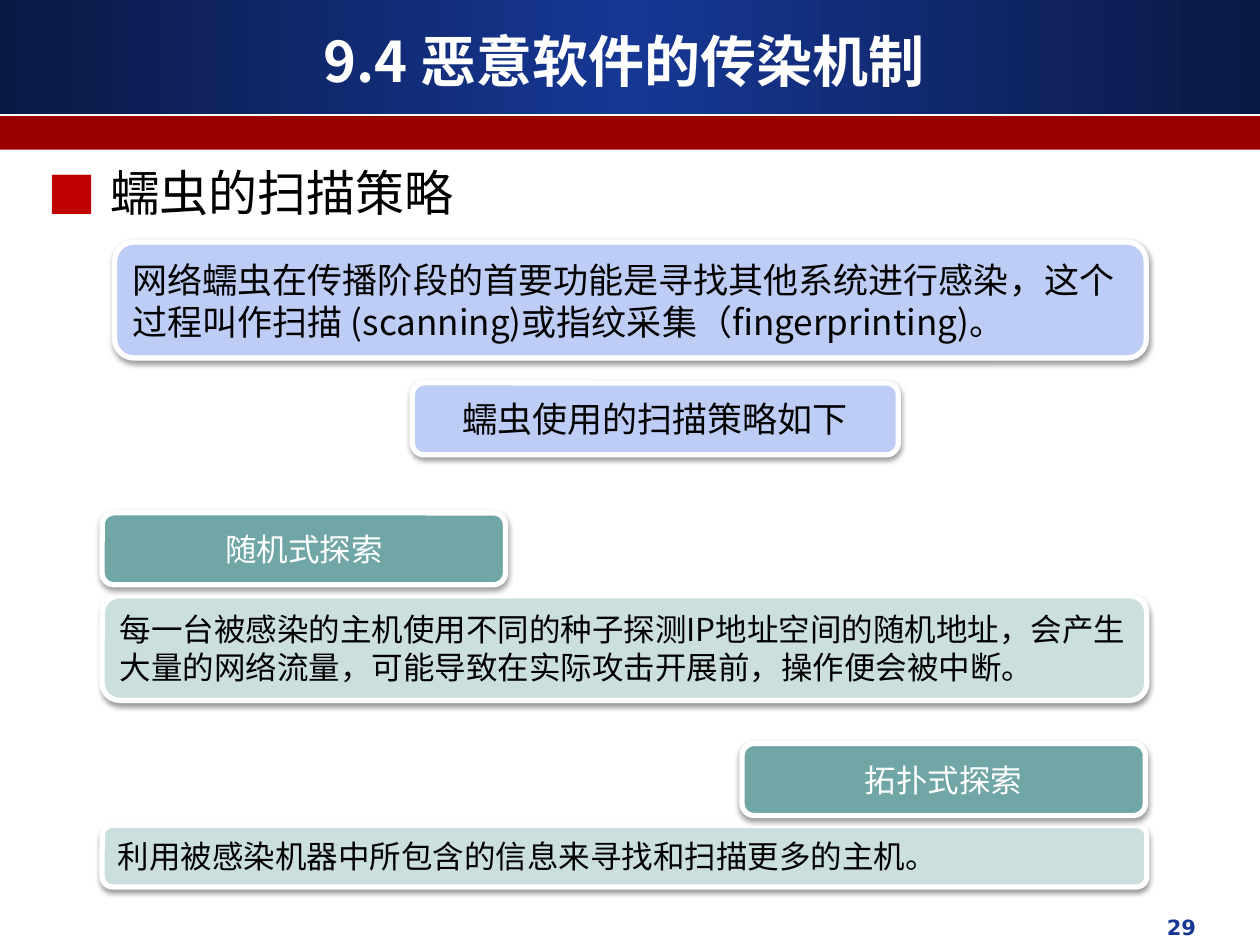
import pptx
import pptx.dml.color
import pptx.enum.shapes
import pptx.enum.text
import pptx.oxml
import pptx.oxml.ns
import pptx.util
from lxml import etree

Cm = pptx.util.Cm
Pt = pptx.util.Pt
Shape = pptx.enum.shapes.MSO_SHAPE
Align = pptx.enum.text.PP_ALIGN
Anchor = pptx.enum.text.MSO_ANCHOR
qn = pptx.oxml.ns.qn

SHADOW = (
    '<a:effectLst %s><a:outerShdw blurRad="39370" dist="20320" dir="5400000" '
    'rotWithShape="0"><a:srgbClr val="000000"><a:alpha val="38000"/></a:srgbClr>'
    "</a:outerShdw></a:effectLst>" % pptx.oxml.ns.nsdecls("a")
)


def color(code):
    return pptx.dml.color.RGBColor.from_string(code)


class Deck:
    font = "Noto Sans CJK SC"
    blue, teal, pale = "BECDF6", "71A6A6", "CCDFDF"

    def __init__(self):
        self.prs = pptx.Presentation()
        self.prs.slide_width = Cm(25.4)
        self.prs.slide_height = Cm(19.05)
        self.slide = self.prs.slides.add_slide(self.prs.slide_layouts[5])

    def label(self, frame, text, size, tint="000000", align=Align.LEFT,
              anchor=Anchor.MIDDLE, bold=False, font=None):
        frame.word_wrap = True
        frame.vertical_anchor = anchor
        para = frame.paragraphs[0]
        para.alignment = align
        run = para.add_run()
        run.text = text
        run.font.size = Pt(size)
        run.font.bold = bold
        run.font.color.rgb = color(tint)
        run.font.name = font or self.font
        east = etree.SubElement(run.font._element, qn("a:ea"))
        east.set("typeface", font or self.font)
        return para

    def shape(self, kind, x, y, w, h, fill, line=None, width=0):
        box = self.slide.shapes.add_shape(kind, Cm(x), Cm(y), Cm(w), Cm(h))
        box.shadow.inherit = False
        box.fill.solid()
        box.fill.fore_color.rgb = color(fill)
        if line:
            box.line.color.rgb = color(line)
            box.line.width = Pt(width)
        else:
            box.line.fill.background()
        return box

    def band(self, y, h, fill, edge=None):
        bar = self.shape(Shape.RECTANGLE, 0, y, 25.4, h, fill)
        if edge:
            bar.fill.gradient()
            bar.fill.gradient_angle = 0
            stops = bar._element.spPr.find(qn("a:gradFill")).find(qn("a:gsLst"))
            for stop in list(stops):
                stops.remove(stop)
            for pos, code in ((0, edge), (50000, fill), (100000, edge)):
                stop = etree.SubElement(stops, qn("a:gs"), pos=str(pos))
                etree.SubElement(stop, qn("a:srgbClr"), val=code)

    def title(self, text):
        head = self.slide.shapes.title
        head.left, head.top = Cm(0.84), Cm(0.43)
        head.width, head.height = Cm(23.5), Cm(1.57)
        # Bring the title in front of the bands
        head._element.getparent().append(head._element)
        self.label(head.text_frame, text, 32, "FFFFFF", Align.CENTER, bold=True)

    def topic(self, text, x, y, w, h):
        box = self.shape(Shape.RECTANGLE, x, y, w, h, "FFFFFF", "FFFFFF", 2)
        para = self.label(box.text_frame, text, 28, anchor=Anchor.TOP)
        props = para._p.get_or_add_pPr()
        props.set("marL", "457200")
        props.set("indent", "-457200")
        tint = etree.SubElement(props, qn("a:buClr"))
        etree.SubElement(tint, qn("a:srgbClr"), val="C00000")
        etree.SubElement(props, qn("a:buFont"), typeface=self.font)
        etree.SubElement(props, qn("a:buChar"), char="■")

    def card(self, text, x, y, w, h, fill, size, tint="000000", align=Align.LEFT):
        box = self.shape(Shape.ROUNDED_RECTANGLE, x, y, w, h, fill, "FFFFFF", 3)
        props = box._element.spPr
        props.replace(props.find(qn("a:effectLst")), pptx.oxml.parse_xml(SHADOW))
        self.label(box.text_frame, text, size, tint, align)

    def number(self, text):
        box = self.slide.shapes.add_textbox(Cm(16.31), Cm(18.31), Cm(8.05), Cm(0.89))
        self.label(box.text_frame, text, 12, "163794", Align.RIGHT,
                   Anchor.TOP, True, "DejaVu Sans")


def main():
    deck = Deck()

    # Header bands, title and page number
    deck.band(0, 2.31, "163794", edge="0A1944")
    deck.band(2.34, 0.68, "990000")
    deck.title("9.4 恶意软件的传染机制")
    deck.number("29")

    # Topic and introduction
    deck.topic("蠕虫的扫描策略", 0.71, 3.15, 9.8, 1.45)
    deck.card("网络蠕虫在传播阶段的首要功能是寻找其他系统进行感染，这个过程叫作扫描 "
              "(scanning)或指纹采集（fingerprinting)。",
              2.31, 4.88, 20.8, 2.34, deck.blue, 20)
    deck.card("蠕虫使用的扫描策略如下", 8.31, 7.72, 9.8, 1.45,
              deck.blue, 20, align=Align.CENTER)

    # Strategies: name, its left and top, then the body text, its top and height
    plans = (
        ("随机式探索", 2.06, 10.34,
         "每一台被感染的主机使用不同的种子探测IP地址空间的随机地址，会产生大量的"
         "网络流量，可能导致在实际攻击开展前，操作便会被中断。", 12.01, 2.11),
        ("拓扑式探索", 14.96, 14.99,
         "利用被感染机器中所包含的信息来寻找和扫描更多的主机。", 16.64, 1.24),
    )
    for name, left, top, body, low, tall in plans:
        deck.card(body, 2.06, low, 21.06, tall, deck.pale, 18)
        deck.card(name, left, top, 8.13, 1.45, deck.teal, 18, "FFFFFF", Align.CENTER)

    deck.prs.save("out.pptx")


if __name__ == "__main__":
    main()
